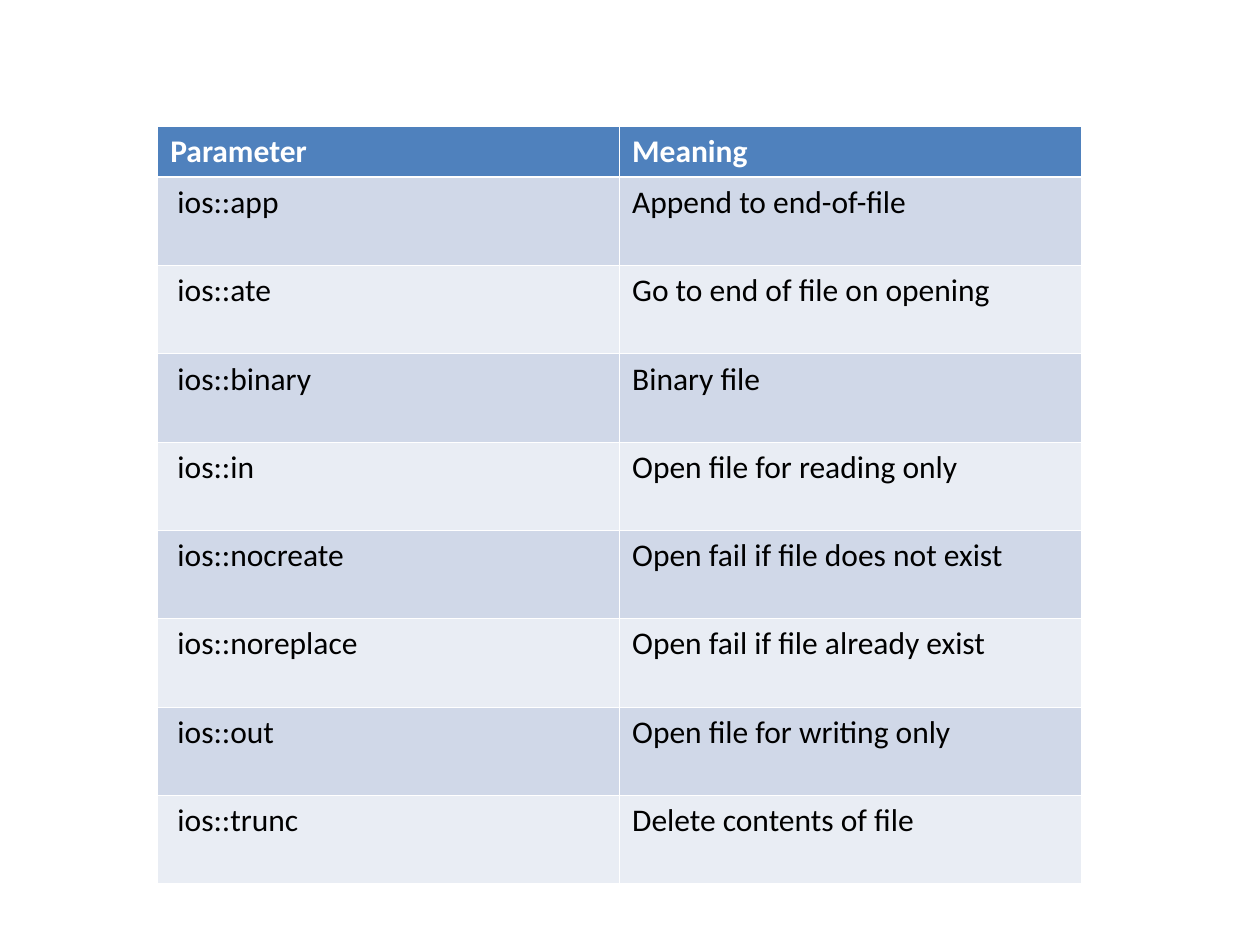
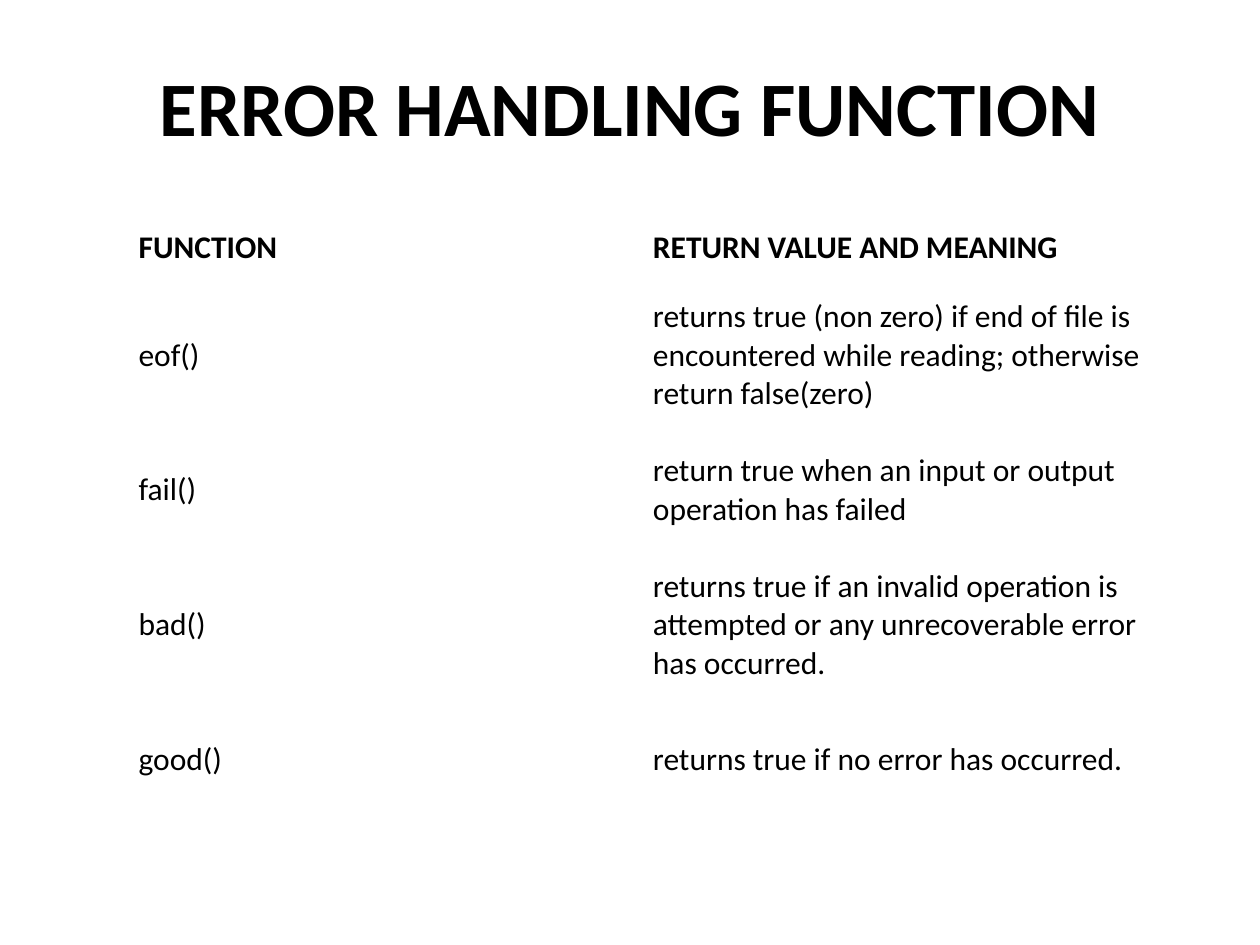
from lxml.etree import SubElement
from pptx import Presentation
from pptx.dml.color import RGBColor
from pptx.enum.text import MSO_ANCHOR, PP_ALIGN
from pptx.oxml.ns import qn
from pptx.util import Cm, Pt

TITLE_ONLY, BLANK = 5, 6
PLAIN_TABLE = "{2D5ABB26-0587-4C30-8999-92F81FD0307C}"

FILE_MODES = [
    ("Parameter", "Meaning"),
    (" ios::app", "Append to end-of-file"),
    (" ios::ate", "Go to end of file on opening"),
    (" ios::binary", "Binary file"),
    (" ios::in", "Open file for reading only"),
    (" ios::nocreate", "Open fail if file does not exist"),
    (" ios::noreplace", "Open fail if file already exist"),
    (" ios::out", "Open file for writing only"),
    (" ios::trunc", "Delete contents of file"),
]
ERROR_FUNCTIONS = [
    ("FUNCTION", "RETURN VALUE AND MEANING"),
    ("eof()", "returns true (non zero) if end of file is encountered "
              "while reading; otherwise return false(zero)"),
    ("fail()", "return true when an input or output operation has failed"),
    ("bad()", "returns true if an invalid operation is attempted "
              "or any unrecoverable error has occurred."),
    ("good()", "returns true if no error has occurred."),
]


def rgb(value):
    return RGBColor.from_string(value)


class Deck:
    font = "Calibri"
    black, white = "000000", "FFFFFF"
    header, bands = "4F81BD", ("D0D8E8", "E9EDF4")
    thin, thick = 0.45, 1.47

    def __init__(self):
        self.prs = Presentation()
        self.prs.slide_width, self.prs.slide_height = Cm(25.4), Cm(19.05)

    def slide(self, layout):
        self.s = self.prs.slides.add_slide(self.prs.slide_layouts[layout])

    def add_text(self, tf, text, size, bold, color):
        r = tf.paragraphs[0].add_run()
        r.text = text
        for name, value in {"name": self.font, "size": Pt(size), "bold": bold}.items():
            setattr(r.font, name, value)
        r.font.color.rgb = rgb(color)

    def title(self, text, left, top, width, height):
        sp = self.s.shapes.title
        sp.left, sp.top, sp.width, sp.height = map(Cm, (left, top, width, height))
        tf = sp.text_frame
        # The deep lower margin lifts the line above the table
        layout = {"vertical_anchor": MSO_ANCHOR.MIDDLE, "word_wrap": True,
                  "margin_top": 0, "margin_bottom": Cm(1.85)}
        for name, value in layout.items():
            setattr(tf, name, value)
        self.add_text(tf, text, 44, True, self.black)
        tf.paragraphs[0].alignment = PP_ALIGN.CENTER

    def borders(self, cell, row):
        widths = {"L": self.thin, "R": self.thin,
                  "T": self.thick if row == 1 else self.thin,
                  "B": self.thick if row == 0 else self.thin}
        tc_pr = cell._tc.get_or_add_tcPr()
        for i, (side, width) in enumerate(widths.items()):
            ln = SubElement(tc_pr, qn(f"a:ln{side}"), w=str(Pt(width)))
            fill = SubElement(ln, qn("a:solidFill"))
            SubElement(fill, qn("a:srgbClr"), val=self.white)
            tc_pr.insert(i, ln)  # lines come before the fill

    def table(self, rows, left, top, col_width, heights, banded):
        frame = self.s.shapes.add_table(
            len(rows), len(rows[0]), Cm(left), Cm(top),
            Cm(col_width * len(rows[0])), Cm(sum(heights)))
        tbl = frame.table
        tbl._tbl.tblPr.find(qn("a:tableStyleId")).text = PLAIN_TABLE
        for col in tbl.columns:
            col.width = Cm(col_width)
        for i, (texts, height) in enumerate(zip(rows, heights)):
            tbl.rows[i].height = Cm(height)
            for j, text in enumerate(texts):
                cell = tbl.cell(i, j)
                color = self.black
                if banded:
                    color = self.black if i else self.white
                    cell.fill.solid()
                    cell.fill.fore_color.rgb = rgb(
                        self.bands[(i - 1) % 2] if i else self.header)
                    self.borders(cell, i)
                else:
                    cell.fill.background()
                cell.vertical_anchor = MSO_ANCHOR.TOP if banded else MSO_ANCHOR.MIDDLE
                self.add_text(cell.text_frame, text, 18, i == 0, color)


def main():
    deck = Deck()

    # File modes
    deck.slide(BLANK)
    deck.table(FILE_MODES, 3.18, 2.54, 9.31, [1.02] + [1.78] * 8, banded=True)

    # Error handling functions
    deck.slide(TITLE_ONLY)
    deck.title("ERROR HANDLING FUNCTION", 1.27, 1.47, 22.86, 3.18)
    deck.table(ERROR_FUNCTIONS, 2.54, 4.45, 10.37,
               [1.09] + [3.25, 2.18] * 2, banded=False)

    deck.prs.save("out.pptx")


if __name__ == "__main__":
    main()
